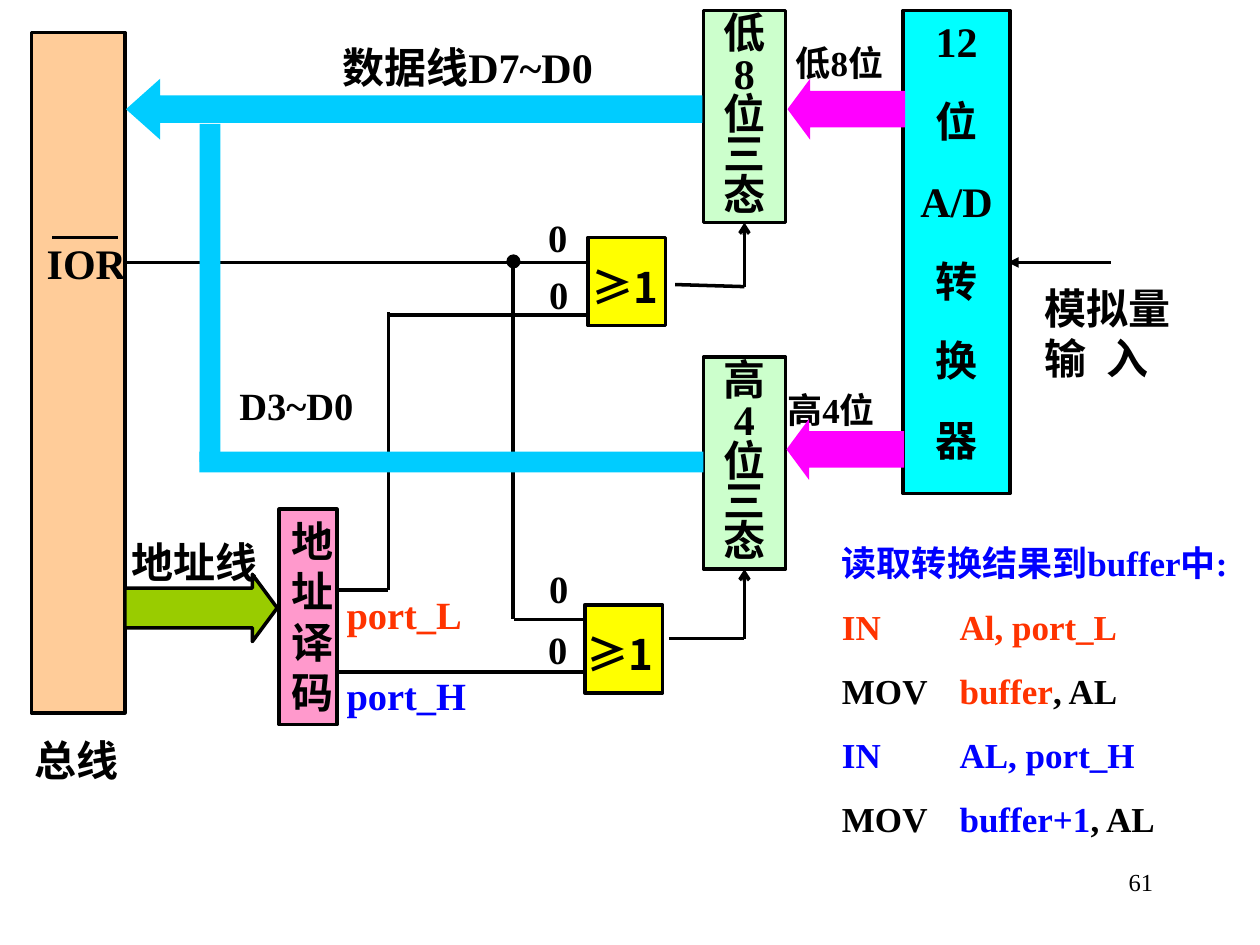
"""Build the slide on reading a 12-bit A/D converter over an 8-bit bus."""
from lxml.etree import SubElement
from pptx import Presentation
from pptx.dml.color import RGBColor
from pptx.enum.shapes import MSO_CONNECTOR, MSO_SHAPE
from pptx.enum.text import MSO_ANCHOR, PP_ALIGN
from pptx.oxml.ns import qn
from pptx.util import Inches, Pt

COLOURS = {
    "black": "000000", "cyan": "00FFFF", "peach": "FFCC99", "mint": "CCFFCC",
    "pink": "FF99CC", "yellow": "FFFF00", "green": "99CC00", "sky": "00CCFF",
    "magenta": "FF00FF", "red": "FF3300", "blue": "0000FF",
}
RGB = {name: RGBColor.from_string(code) for name, code in COLOURS.items()}
LATIN, CHINESE = "Times New Roman", "Noto Sans CJK SC"
LEFT, CENTRE, RIGHT = PP_ALIGN.LEFT, PP_ALIGN.CENTER, PP_ALIGN.RIGHT
COLUMNS = 120

deck = Presentation()
deck.slide_width, deck.slide_height = Inches(10), Inches(7.5)
UNIT = deck.slide_width / COLUMNS
slide = deck.slides.add_slide(deck.slide_layouts[6])
shapes = slide.shapes


def add_block(preset, box, fill, outlined=True, adjustments=(), rotation=0):
    block = shapes.add_shape(preset, *(round(n * UNIT) for n in box))
    block.shadow.inherit = False
    block.fill.solid()
    block.fill.fore_color.rgb = RGB[fill]
    if outlined:
        block.line.color.rgb = RGB["black"]
        block.line.width = Pt(2)
    else:
        block.line.fill.background()
    for index, share in enumerate(adjustments):
        block.adjustments[index] = share
    block.rotation = rotation
    return block


def write(frame, paragraphs, size=24, align=LEFT, inset=0.0, top=None, gap=0,
          spacing=None, tab=None, font=LATIN, bold=True):
    frame.word_wrap = True
    frame.vertical_anchor = MSO_ANCHOR.TOP
    frame.margin_left = frame.margin_right = round(inset * UNIT)
    frame.margin_top = round((inset / 2 if top is None else top) * UNIT)
    frame.margin_bottom = round(inset / 2 * UNIT)
    for index, runs in enumerate(paragraphs):
        paragraph = frame.add_paragraph() if index else frame.paragraphs[0]
        paragraph.alignment = align
        if spacing:
            paragraph.line_spacing = spacing
        if index and gap:
            paragraph.space_before = Pt(gap)
        if tab:
            stops = SubElement(paragraph._p.get_or_add_pPr(), qn("a:tabLst"))
            SubElement(stops, qn("a:tab"), pos=str(round(tab * UNIT)), algn="l")
        for words, colour in runs:
            run = paragraph.add_run()
            run.text = words
            run.font.size, run.font.bold, run.font.name = Pt(size), bold, font
            run.font.color.rgb = RGB[colour]
            SubElement(run._r.get_or_add_rPr(), qn("a:ea"), typeface=CHINESE)


bus = add_block(MSO_SHAPE.RECTANGLE, (3, 3.1, 8.9, 64.8), "peach")
converter = add_block(MSO_SHAPE.RECTANGLE, (86, 1, 10.2, 46), "cyan")
decoder = add_block(MSO_SHAPE.RECTANGLE, (26.6, 48.5, 5.5, 20.5), "pink")
low_buffer, high_buffer = (
    add_block(MSO_SHAPE.RECTANGLE, (67, row, 7.8, 20.2), "mint") for row in (1, 34))

for block, lines, style in (
    (converter, ("12", "位", "A/D", "转", "换", "器"),
     {"top": 1.44, "gap": 22.5, "spacing": 0.8}),
    (decoder, "地址译码", {}),
    (low_buffer, ("低", "8位", "三态"), {"spacing": 0.8}),
    (high_buffer, ("高", "4", "位", "三态"), {"spacing": 0.8}),
):
    write(block.text_frame, [[(line, "black")] for line in lines],
          align=CENTRE, inset=1.2, **style)

ENABLE = 70.9
for start, end, head, target in (
    ((105.8, 25), (96, 25), "triangle", None),
    ((48.85, 24.9), (48.85, 59), None, None),
    ((37, 56.2), (37, 29.7), None, None),
    ((5, 22.6), (11.2, 22.6), None, None),
    ((12, 25), (56, 25), None, None),
    ((37, 30), (56, 30), None, None),
    ((64.3, 27.1), (ENABLE, 27.3), None, None),
    ((ENABLE, 27.3), (ENABLE, 21.2), "arrow", low_buffer),
    ((32.1, 64), (56, 64), None, None),
    ((49, 59), (56, 59), None, None),
    ((32.1, 56.2), (37, 56.2), None, None),
    ((63.7, 60.8), (ENABLE, 60.8), None, None),
    ((ENABLE, 60.9), (ENABLE, 54.2), "arrow", high_buffer),
):
    wire = shapes.add_connector(
        MSO_CONNECTOR.STRAIGHT, *(round(n * UNIT) for n in start + end))
    wire.line.color.rgb = RGB["black"]
    wire.line.width = Pt(2)
    if head:
        SubElement(wire.line._get_or_add_ln(), qn("a:tailEnd"), type=head)
    SubElement(wire._element.spPr, qn("a:effectLst"))
    if target:
        wire.end_connect(target, 2)

add_block(MSO_SHAPE.OVAL, (48.4, 24.4, 1, 1), "black")
add_block(MSO_SHAPE.RIGHT_ARROW, (11.9, 54.7, 14.5, 6.4), "green",
          adjustments=(0.59, 0.37))
add_block(MSO_SHAPE.RIGHT_ARROW, (12, 7.5, 54.9, 5.8), "sky", False, (0.45, 0.56), 180)
for branch in ((19, 11.8, 2, 32.2), (19, 43, 48, 2)):
    add_block(MSO_SHAPE.RECTANGLE, branch, "sky", False)
for gate in ((56, 22.6), (55.7, 57.6)):
    add_block(MSO_SHAPE.RECTANGLE, (*gate, 7.4, 8.4), "yellow")

GATE_STYLE = {"spacing": 1.6, "font": CHINESE}
for box, lines, colour, size, style in (
    ((3, 70, 8.5, 4.3), ["总线"], "black", 24, {"align": CENTRE}),
    ((32.6, 4, 25.3, 4.3), ["数据线D7~D0"], "black", 24, {}),
    ((99.5, 26.9, 13.4, 9.1), ["模拟量", "输\t入"], "black", 24,
     {"font": CHINESE, "tab": 5.9}),
    ((3.4, 22.6, 8.6, 4.4), ["IOR"], "black", 24, {"align": RIGHT}),
    ((52.2, 20.4, 1.9, 4.7), ["0"], "black", 22, {}),
    ((52.3, 25.8, 1.9, 4.7), ["0"], "black", 22, {}),
    ((52.3, 53.8, 1.9, 4.7), ["0"], "black", 22, {}),
    ((52.2, 59.6, 1.9, 4.7), ["0"], "black", 22, {}),
    ((12.5, 51.1, 16.3, 4.7), ["地址线"], "black", 24, {}),
    ((74, 4, 11.9, 4.3), ["低8位"], "black", 20, {"align": CENTRE}),
    ((73.2, 37, 11.9, 4.4), ["高4位"], "black", 20, {"align": CENTRE}),
    ((22.8, 36.4, 11.2, 4.7), ["D3~D0"], "black", 22, {}),
    ((33, 56.3, 12.1, 4.7), ["port_L"], "red", 22, {}),
    ((33, 64, 12.1, 4.7), ["port_H"], "blue", 22, {}),
    ((56.3, 22, 6.4, 7.4), ["≥1"], "black", 24, GATE_STYLE),
    ((55.9, 57, 6.4, 7.4), ["≥1"], "black", 24, GATE_STYLE),
    ((86, 82, 25, 6), ["61"], "black", 14,
     {"align": RIGHT, "inset": 1.2, "bold": False}),
):
    label = shapes.add_textbox(*(round(n * UNIT) for n in box))
    write(label.text_frame, [[(line, colour)] for line in lines], size, **style)

for column, row in ((75, 7.5), (74.9, 39.9)):
    add_block(MSO_SHAPE.RIGHT_ARROW, (column, row, 11.2, 5.8), "magenta", False,
              (0.6, 0.37), 180)

program = shapes.add_textbox(*(round(n * UNIT) for n in (79, 51, 45, 29.5)))
write(program.text_frame, (
    [("读取转换结果到buffer中:", "blue")],
    [("IN\tAl, port_L", "red")],
    [("MOV\t", "black"), ("buffer", "red"), (", AL", "black")],
    [("IN\tAL, port_H", "blue")],
    [("MOV\t", "black"), ("buffer+1", "blue"), (", AL", "black")],
), size=20, inset=1.2, gap=12.5, tab=11.2)

deck.save("out.pptx")
